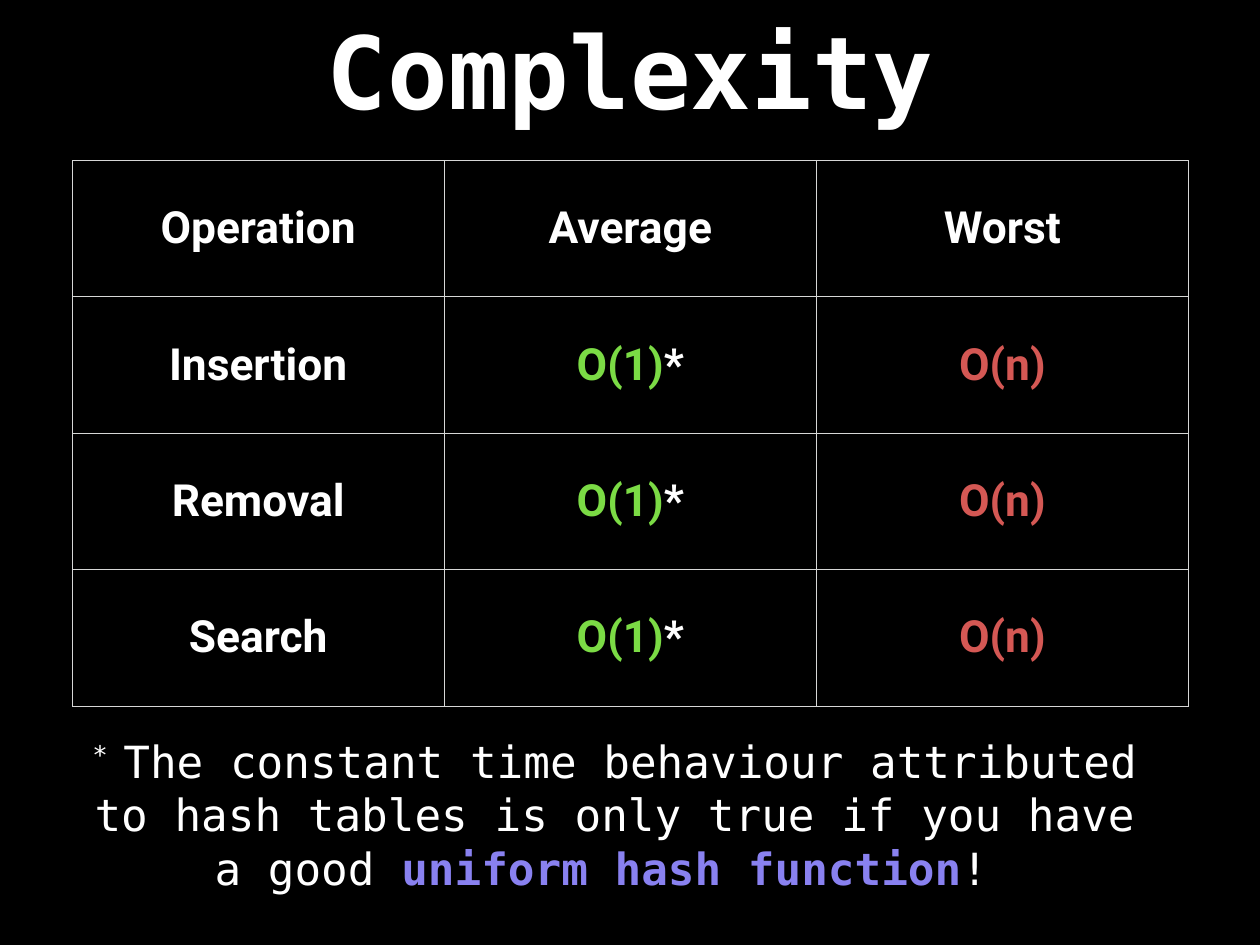
from lxml.etree import SubElement
from pptx import Presentation
from pptx.dml.color import RGBColor
from pptx.enum.text import MSO_ANCHOR, MSO_AUTO_SIZE, PP_ALIGN
from pptx.oxml.ns import qn
from pptx.util import Cm, Pt

HUES = {
    "back": "000000", "text": "FFFFFF", "good": "7BDB45", "bad": "D45854",
    "key": "8981F0", "edge": "D6D6D6", "grid": "D6D7D6",
}
MONO, SANS = "DejaVu Sans Mono", "Roboto"
PAD = Cm(0.15)


def paint(fill, hue):
    fill.solid()
    fill.fore_color.rgb = RGBColor.from_string(HUES[hue])


def add_run(para, text, size, face, hue="text", bold=True, base=0):
    run = para.add_run()
    run.text = text
    font = run.font
    font.size, font.name, font.bold = Pt(size), face, bold
    font.color.rgb = RGBColor.from_string(HUES[hue])
    if base:
        run._r.get_or_add_rPr().set("baseline", str(base * 1000))


def set_frame(item):
    item.margin_left = item.margin_right = PAD
    item.margin_top = item.margin_bottom = PAD
    item.vertical_anchor = MSO_ANCHOR.MIDDLE


def set_text(shape, runs, size):
    frame = shape.text_frame
    set_frame(frame)
    frame.word_wrap = True
    frame.auto_size = MSO_AUTO_SIZE.NONE
    para = frame.paragraphs[0]
    para.alignment = PP_ALIGN.CENTER
    for text, style in runs:
        add_run(para, text, size, MONO, **style)


def add_line(cell, side, outer):
    hue, width = ("edge", 0.25) if outer else ("grid", 1)
    line = SubElement(cell._tc.get_or_add_tcPr(), qn("a:ln" + side), w=str(Pt(width)))
    fill = SubElement(line, qn("a:solidFill"))
    SubElement(fill, qn("a:srgbClr"), val=HUES[hue])


def add_grid(slide, rows, box):
    high, wide = len(rows), len(rows[0])
    table = slide.shapes.add_table(high, wide, *box).table
    table.first_row = table.horz_banding = False
    for y, row in enumerate(rows):
        for x, runs in enumerate(row):
            cell = table.cell(y, x)
            set_frame(cell)
            ends = {"L": x == 0, "R": x == wide - 1, "T": y == 0, "B": y == high - 1}
            for side, outer in ends.items():
                add_line(cell, side, outer)
            paint(cell.fill, "back")
            para = cell.text_frame.paragraphs[0]
            para.alignment = PP_ALIGN.CENTER
            for text, hue in runs:
                add_run(para, text, 36, SANS, hue)


def main():
    deck = Presentation()
    deck.slide_width, deck.slide_height = Cm(36.12), Cm(27.09)
    slide = deck.slides.add_slide(deck.slide_layouts[5])
    paint(slide.background.fill, "back")

    # Title
    title = slide.shapes.title
    title.left, title.top = Cm(2.64), Cm(0.15)
    title.width, title.height = Cm(30.84), Cm(3.66)
    set_text(title, [("Complexity", {})], 81.9)

    # Cost of each operation
    rows = [[[(head, "text")] for head in ("Operation", "Average", "Worst")]]
    for name in ("Insertion", "Removal", "Search"):
        rows.append([
            [(name, "text")],
            [("O(1)", "good"), ("*", "text")],
            [("O(n)", "bad")],
        ])
    add_grid(slide, rows, (Cm(2.07), Cm(4.6), Cm(32), Cm(15.64)))

    # Footnote
    note = slide.shapes.add_textbox(Cm(2.29), Cm(21.03), Cm(30.66), Cm(4.62))
    set_text(note, [
        ("* ", {"bold": False, "base": 32}),
        ("The constant time behaviour attributed to hash tables is only true "
         "if you have a good", {"bold": False}),
        (" uniform hash function", {"hue": "key"}),
        ("! ", {"bold": False}),
    ], 36)

    deck.save("out.pptx")


if __name__ == "__main__":
    main()
